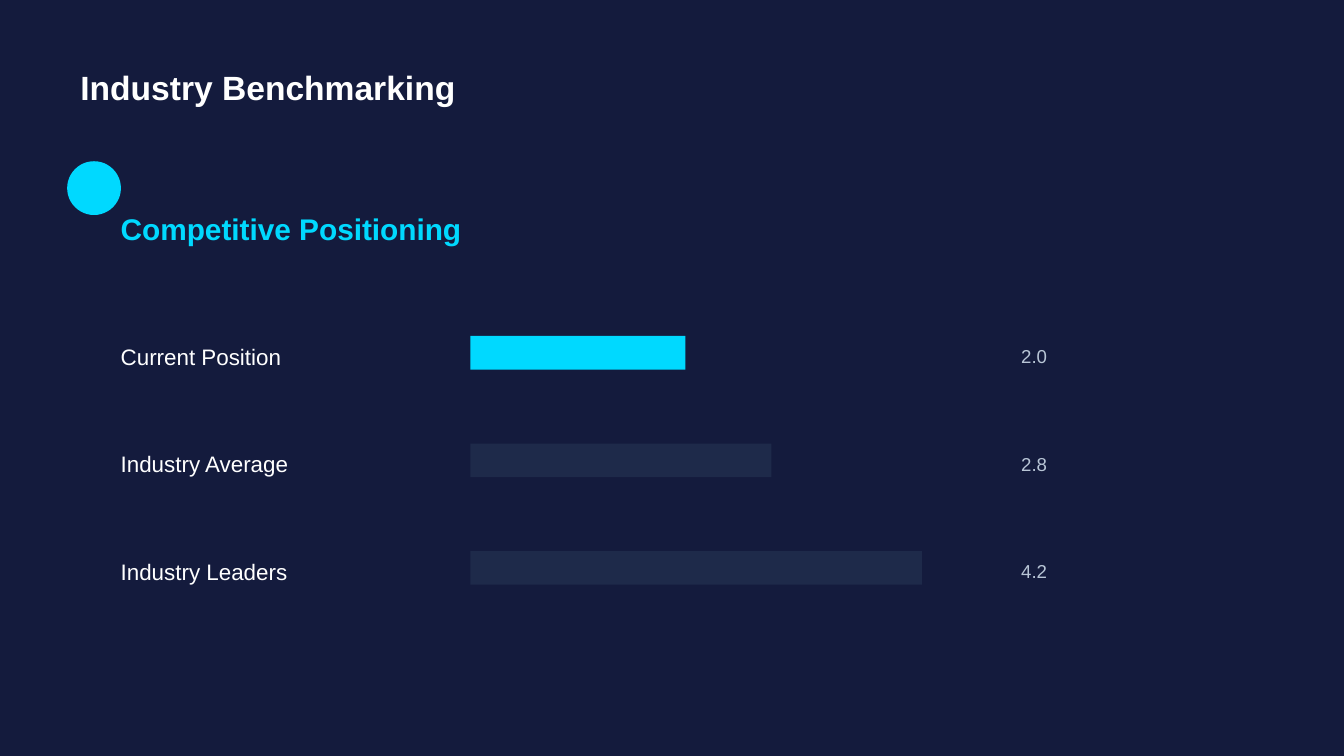
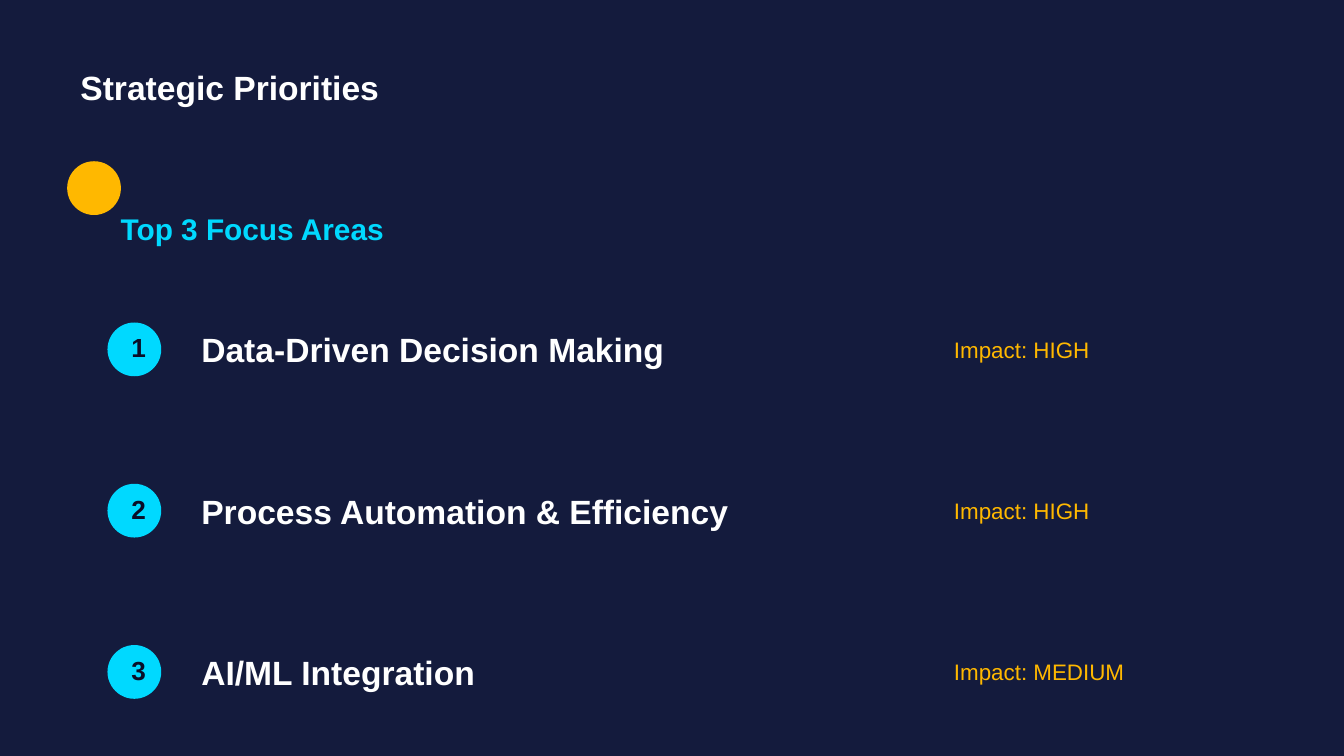
"""Build two dark slides: industry benchmarking bars and strategic priorities."""
from dataclasses import dataclass

from pptx import Presentation
from pptx.dml.color import RGBColor
from pptx.enum.shapes import MSO_SHAPE
from pptx.enum.text import MSO_ANCHOR, PP_ALIGN
from pptx.util import Pt

PX = 4572


@dataclass(frozen=True)
class Theme:
    font: str = "Arial"
    back: str = "141B3D"
    white: str = "FFFFFF"
    cyan: str = "00D9FF"
    gold: str = "FFB800"
    slate: str = "1E2A4A"
    mist: str = "B8C5D6"
    ink: str = "0A0E27"
    title: int = 18
    head: int = 16
    badge: int = 14
    body: int = 12
    small: int = 10


look = Theme()


def write(slide, box, text, size, color, bold=False, align=PP_ALIGN.LEFT):
    frame = slide.shapes.add_textbox(*[n * PX for n in box]).text_frame
    frame.word_wrap = True
    frame.vertical_anchor = MSO_ANCHOR.MIDDLE
    line = frame.paragraphs[0]
    line.alignment = align
    run = line.add_run()
    run.text = text
    run.font.name = look.font
    run.font.size = Pt(size)
    run.font.bold = bold
    run.font.color.rgb = RGBColor.from_string(color)


def draw(slide, kind, box, color):
    shape = slide.shapes.add_shape(kind, *[n * PX for n in box])
    shape.shadow.inherit = False
    shape.fill.solid()
    shape.fill.fore_color.rgb = RGBColor.from_string(color)
    shape.line.fill.background()


deck = Presentation()
deck.slide_width = 2000 * PX
deck.slide_height = 1125 * PX

pages = []
for title, head, accent in [
    ("Industry Benchmarking", "Competitive Positioning", look.cyan),
    ("Strategic Priorities", "Top 3 Focus Areas", look.gold),
]:
    page = deck.slides.add_slide(deck.slide_layouts[6])
    page.background.fill.solid()
    page.background.fill.fore_color.rgb = RGBColor.from_string(look.back)
    write(page, (100, 80, 1800, 100), title, look.title, look.white, True)
    draw(page, MSO_SHAPE.OVAL, (100, 240, 80, 80), accent)
    write(page, (160, 300, 1740, 80), head, look.head, look.cyan, True)
    pages.append(page)
bench, focus = pages

scores = [
    ("Current Position", 2.0, look.cyan),
    ("Industry Average", 2.8, look.slate),
    ("Industry Leaders", 4.2, look.slate),
]
for row, (label, score, color) in enumerate(scores):
    top = 500 + 160 * row
    write(bench, (160, top, 500, 60), label, look.body, look.white)
    draw(bench, MSO_SHAPE.RECTANGLE, (700, top, round(160 * score), 50), color)
    write(bench, (1500, top, 200, 60), f"{score:.1f}", look.small, look.mist)

goals = [
    ("Data-Driven Decision Making", "HIGH"),
    ("Process Automation & Efficiency", "HIGH"),
    ("AI/ML Integration", "MEDIUM"),
]
for row, (goal, level) in enumerate(goals):
    top = 480 + 240 * row
    draw(focus, MSO_SHAPE.OVAL, (160, top, 80, 80), look.cyan)
    write(focus, (176, top + 12, 50, 50), str(row + 1), look.badge, look.ink, True,
          PP_ALIGN.CENTER)
    write(focus, (280, top, 1000, 80), goal, look.title, look.white, True)
    write(focus, (1400, top, 400, 80), f"Impact: {level}", look.body, look.gold)

deck.save("out.pptx")
